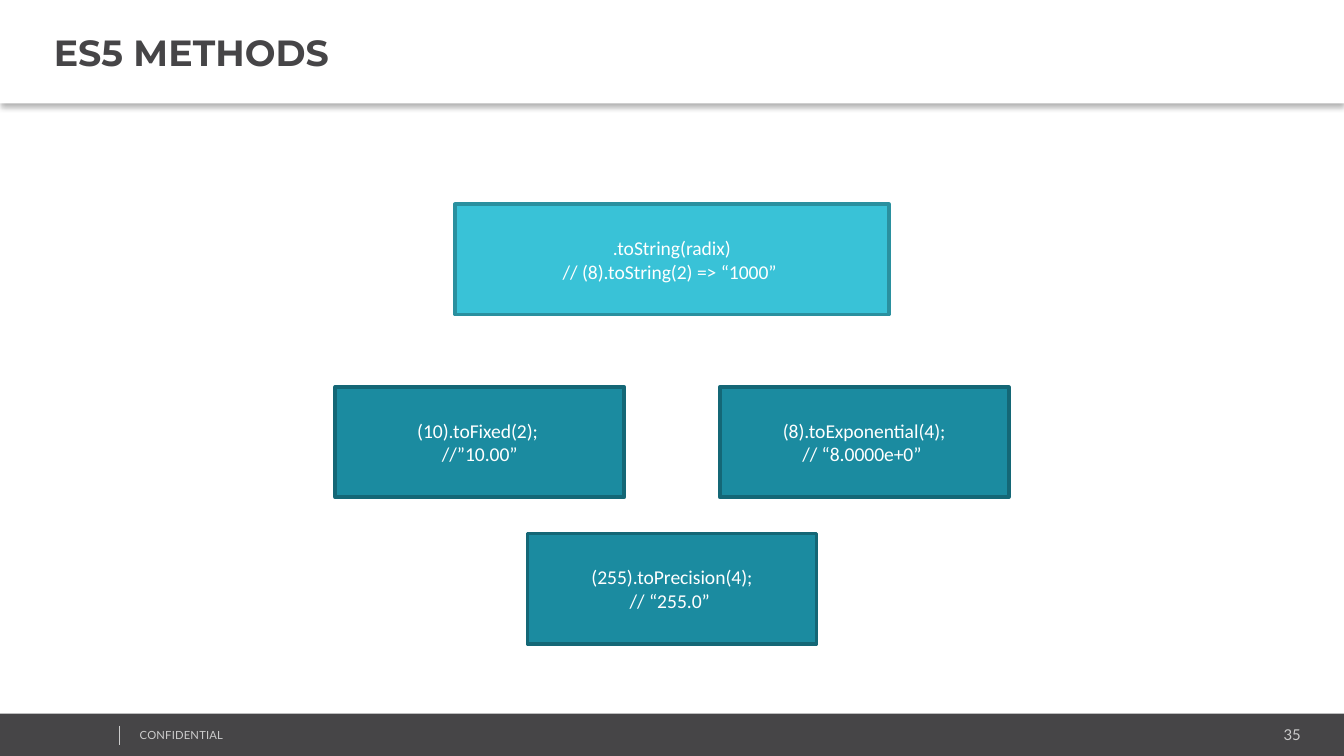
from lxml.etree import SubElement
from pptx import Presentation
from pptx.dml.color import RGBColor
from pptx.enum.shapes import MSO_CONNECTOR, MSO_SHAPE
from pptx.enum.text import MSO_ANCHOR, MSO_AUTO_SIZE, PP_ALIGN
from pptx.oxml.ns import qn
from pptx.util import Inches, Pt

WHITE = RGBColor(0xFF, 0xFF, 0xFF)
GRAPHITE = RGBColor(0x46, 0x45, 0x47)
SILVER = RGBColor(0xCC, 0xCC, 0xCC)
TEAL = RGBColor(0x1B, 0x8B, 0xA0)
TEAL_EDGE = RGBColor(0x14, 0x67, 0x76)
CYAN = RGBColor(0x39, 0xC2, 0xD7)
CYAN_EDGE = RGBColor(0x2A, 0x90, 0x9F)

TITLE_FONT = dict(name="Montserrat", size=Pt(19.5), bold=True)
BOX_FONT = dict(name="Calibri", size=Pt(10.5))
SLIDE_WIDTH = 10
BOX_HEIGHT = 0.82
SIDE_OFFSET = 1.43

# Offset from the slide's centre, top, width, fill, edge, paragraphs ("\v" breaks a line)
METHOD_BOXES = [
    (-SIDE_OFFSET, 2.88, 2.15, TEAL, TEAL_EDGE, ["(10).toFixed(2); \v//”10.00”"]),
    (0, 3.97, 2.15, TEAL, TEAL_EDGE, ["(255).toPrecision(4);\v// “255.0” "]),
    (SIDE_OFFSET, 2.88, 2.15, TEAL, TEAL_EDGE, ["(8).toExponential(4);\v// “8.0000e+0” "]),
    (0, 1.52, 3.23, CYAN, CYAN_EDGE,
     [".toString(radix)", "// (8).toString(2) => “1000” "]),
]


def set_text(tf, paragraphs, font, color, align, insets, anchor=MSO_ANCHOR.TOP):
    tf.text = "\n".join(paragraphs)
    frame = dict(word_wrap=True, auto_size=MSO_AUTO_SIZE.NONE, vertical_anchor=anchor)
    for name, value in frame.items():
        setattr(tf, name, value)
    for side, inset in zip(("left", "top", "right", "bottom"), insets):
        setattr(tf, f"margin_{side}", Inches(inset))
    for p in tf.paragraphs:
        p.alignment = align
        for r in p.runs:
            for name, value in font.items():
                setattr(r.font, name, value)
            r.font.color.rgb = color


def add_rect(slide, left, top, width, height, fill, edge=None):
    sp = slide.shapes.add_shape(MSO_SHAPE.RECTANGLE, Inches(left), Inches(top),
                                Inches(width), Inches(height))
    sp.shadow.inherit = False
    sp.fill.solid()
    sp.fill.fore_color.rgb = fill
    if edge is None:
        sp.line.fill.background()
    else:
        sp.line.color.rgb = edge
        sp.line.width = Pt(2)
    return sp


def add_drop_shadow(sp):
    sp.shadow.inherit = False
    effects = sp._element.spPr.find(qn("a:effectLst"))
    shadow = SubElement(effects, qn("a:outerShdw"), blurRad=str(Pt(3.1)),
                        dist=str(Pt(2)), dir="5400000", algn="t", rotWithShape="0")
    color = SubElement(shadow, qn("a:srgbClr"), val="000000")
    SubElement(color, qn("a:alpha"), val="30000")


def add_title_bar(slide, text):
    sp = slide.shapes.title
    place = dict(left=0, top=0, width=Inches(SLIDE_WIDTH), height=Inches(0.77))
    for name, value in place.items():
        setattr(sp, name, value)
    sp.fill.solid()
    sp.fill.fore_color.rgb = WHITE
    add_drop_shadow(sp)
    set_text(sp.text_frame, [text], TITLE_FONT, GRAPHITE, PP_ALIGN.LEFT,
             (0.4, 0.05, 0.1, 0.05), MSO_ANCHOR.MIDDLE)


def add_method_box(slide, offset, top, width, fill, edge, paragraphs):
    left = (SLIDE_WIDTH - width) / 2 + offset
    sp = add_rect(slide, left, top, width, BOX_HEIGHT, fill, edge)
    set_text(sp.text_frame, paragraphs, BOX_FONT, WHITE, PP_ALIGN.CENTER,
             (0.1, 0.05, 0.1, 0.05), MSO_ANCHOR.MIDDLE)


def add_footer_text(slide, left, top, width, height, text, size, align):
    tb = slide.shapes.add_textbox(Inches(left), Inches(top), Inches(width), Inches(height))
    set_text(tb.text_frame, [text], dict(name="Lato", size=Pt(size)), SILVER, align,
             (0.07, 0.04, 0.07, 0.04))
    return tb


def add_footer(slide):
    add_rect(slide, 0, 5.31, 10.01, 0.33, GRAPHITE)
    add_footer_text(slide, 8.12, 5.36, 1.63, 0.21, "35", 8, PP_ALIGN.RIGHT)
    label = add_footer_text(slide, 0.97, 5.38, 2.53, 0.18, "CONFIDENTIAL", 6, PP_ALIGN.LEFT)
    r = label.text_frame.paragraphs[0].runs[0]
    r.font._element.set("spc", "10")
    divider = slide.shapes.add_connector(MSO_CONNECTOR.STRAIGHT, Inches(0.89), Inches(5.4),
                                         Inches(0.89), Inches(5.54))
    divider.line.color.rgb = SILVER
    divider.line.width = Pt(0.25)
    SubElement(divider._element.spPr, qn("a:effectLst"))


def main():
    prs = Presentation()
    prs.slide_width = Inches(SLIDE_WIDTH)
    prs.slide_height = Inches(SLIDE_WIDTH * 9 / 16)
    slide = prs.slides.add_slide(prs.slide_layouts[5])
    add_footer(slide)
    add_title_bar(slide, "ES5 METHODS")
    for box in METHOD_BOXES:
        add_method_box(slide, *box)
    prs.save("out.pptx")


if __name__ == "__main__":
    main()
